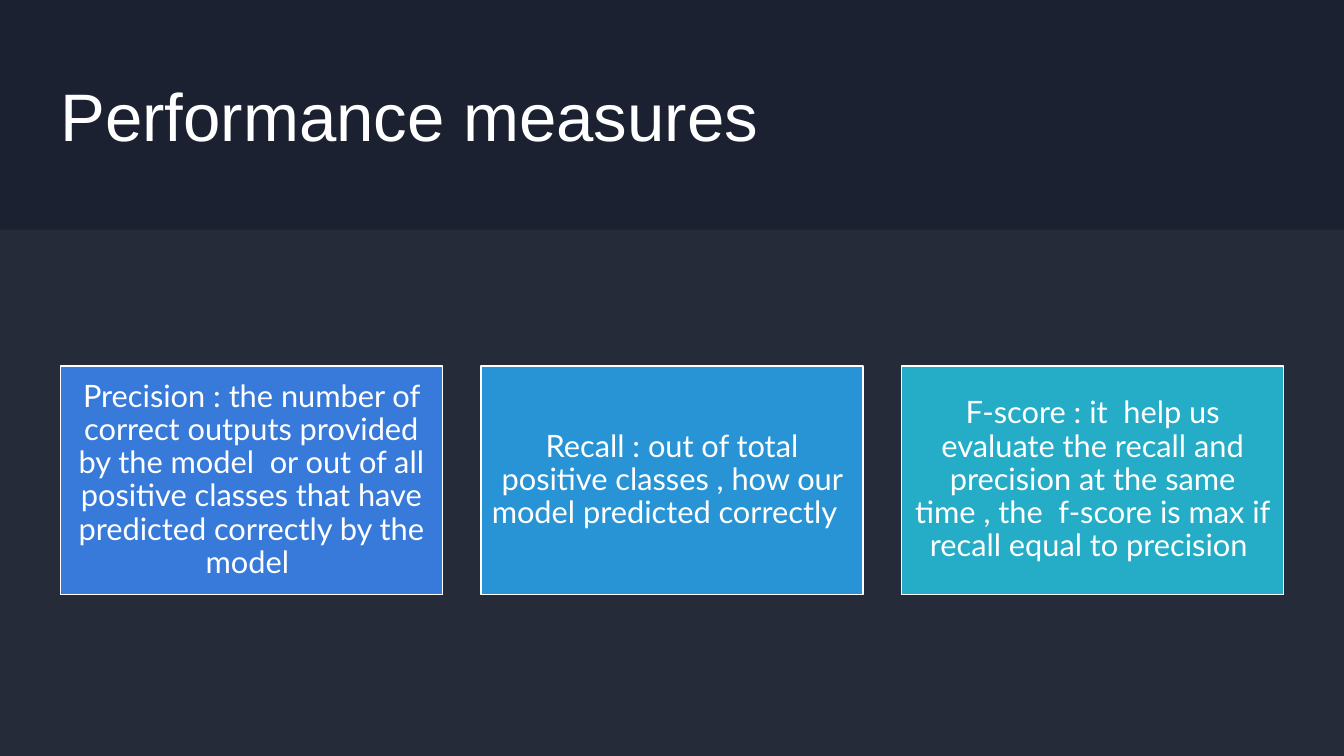
from lxml import etree
from pptx import Presentation, util as u
from pptx.dml.color import RGBColor
from pptx.enum import shapes, text
from pptx.oxml.ns import qn

TITLE = "Performance measures"
MEASURES = [
    ("Precision : the number of correct outputs provided by the model  or out of all "
     "positive classes that have predicted correctly by the model ", "precision"),
    ("Recall : out of total positive classes , how our model predicted correctly  ", "recall"),
    ("F-score : it  help us evaluate the recall and precision at the same time , "
     "the  f-score is max if recall equal to precision ", "f_score"),
]
COLOURS = {
    "background": "1B2130",
    "panel": "E3E7EF",
    "white": "FFFFFF",
    "precision": "377AD9",
    "recall": "2894D6",
    "f_score": "25ACC7",
}
PANEL_OPACITY = 5  # percent

WIDTH, HEIGHT = u.Cm(33.87), u.Cm(19.05)
MARGIN = u.Cm(1.52)
PANEL_TOP = u.Cm(5.79)
CARD_TOP, CARD_HEIGHT, CARD_GAP = u.Cm(9.22), u.Cm(5.77), u.Cm(0.97)
CARD_WIDTH = (WIDTH - 2 * MARGIN - (len(MEASURES) - 1) * CARD_GAP) // len(MEASURES)


def colour(name):
    return RGBColor.from_string(COLOURS[name])


def add_rectangle(page, left, top, width, height, fill):
    box = page.shapes.add_shape(shapes.MSO_SHAPE.RECTANGLE, left, top, width, height)
    box.shadow.inherit = False
    box.fill.solid()
    box.fill.fore_color.rgb = colour(fill)
    box.line.fill.background()
    return box


def write(box, words, font, size, inset):
    """Fill the box with one white, vertically centred paragraph and return it."""
    frame = box.text_frame
    frame.word_wrap = True
    frame.vertical_anchor = text.MSO_ANCHOR.MIDDLE
    frame.margin_left = frame.margin_right = inset
    frame.margin_top = frame.margin_bottom = inset
    frame.text = words
    para = frame.paragraphs[0]
    span = para.runs[0]
    span.font.name = font
    span.font.size = u.Pt(size)
    span.font.color.rgb = colour("white")
    return para


def add_panel(page):
    panel = add_rectangle(page, 0, PANEL_TOP, WIDTH, HEIGHT - PANEL_TOP, "panel")
    tint = panel.fill._xPr.find(qn("a:solidFill"))[0]
    etree.SubElement(tint, qn("a:alpha"), val=str(PANEL_OPACITY * 1000))


def add_card(page, index, words, fill):
    left = MARGIN + index * (CARD_WIDTH + CARD_GAP)
    card = add_rectangle(page, left, CARD_TOP, CARD_WIDTH, CARD_HEIGHT, fill)
    card.line.color.rgb = colour("white")
    card.line.width = u.Pt(1)
    para = write(card, words, "Lato", 22, u.Cm(0.23))
    para.alignment = text.PP_ALIGN.CENTER
    para.line_spacing = 0.9


def main():
    deck = Presentation()
    deck.slide_width, deck.slide_height = WIDTH, HEIGHT
    page = deck.slides.add_slide(deck.slide_layouts[6])
    page.background.fill.solid()
    page.background.fill.fore_color.rgb = colour("background")

    title = page.shapes.add_textbox(MARGIN, u.Cm(1.52), u.Cm(20.3), u.Cm(2.74))
    write(title, TITLE, "Arial", 48, 0)
    add_panel(page)
    for index, (words, fill) in enumerate(MEASURES):
        add_card(page, index, words, fill)
    deck.save("out.pptx")


if __name__ == "__main__":
    main()
